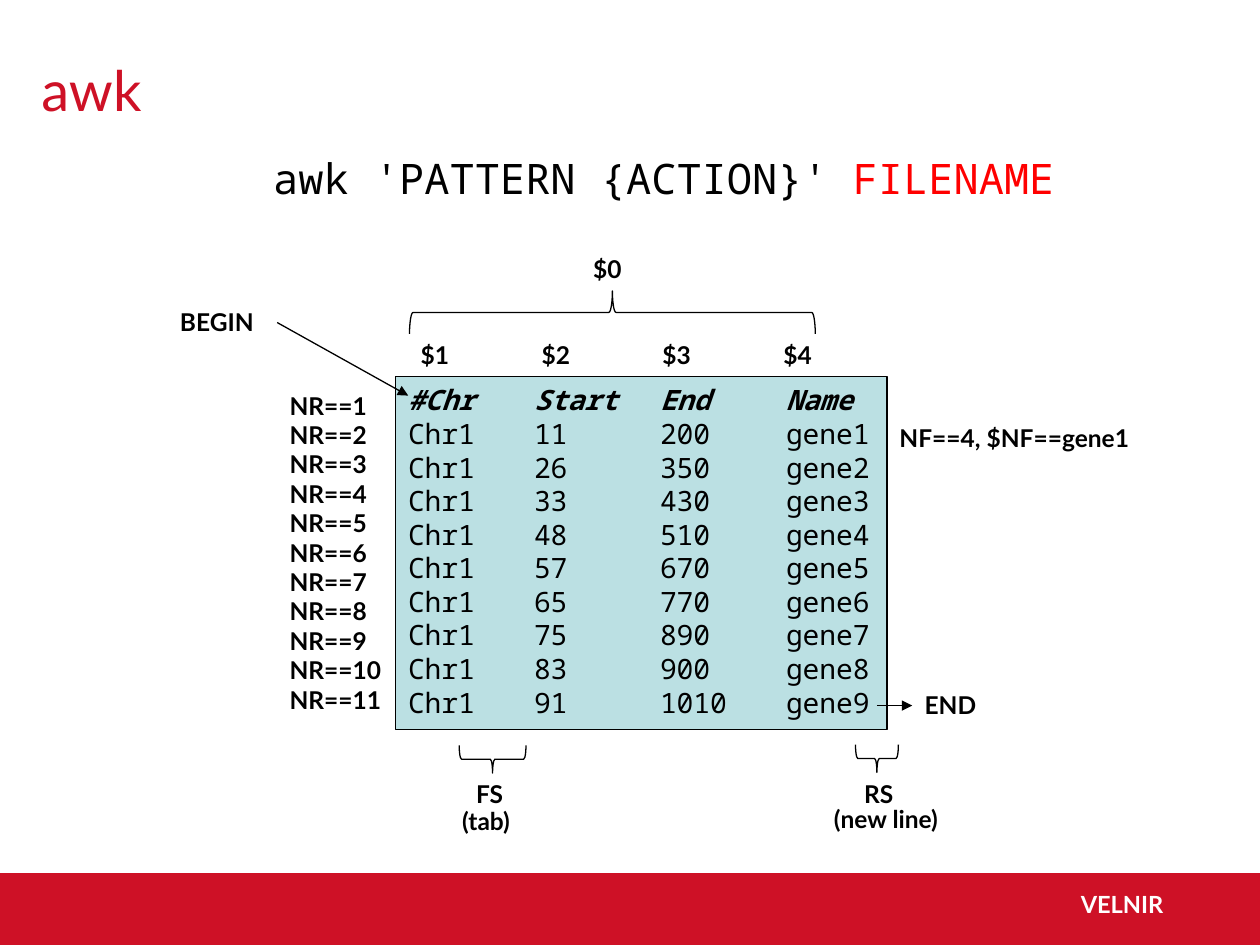
"""Build the awk slide: fields, records and separators of a tab-delimited file."""
from pptx import Presentation
from pptx.dml.color import RGBColor
from pptx.enum.shapes import MSO_CONNECTOR, MSO_SHAPE
from pptx.enum.text import MSO_ANCHOR, PP_ALIGN
from pptx.oxml.ns import qn
from pptx.util import Inches, Pt
from lxml import etree

THEME = {
    "red": RGBColor(0xCE, 0x11, 0x26), "bright": RGBColor(0xFF, 0, 0),
    "teal": RGBColor(0xBB, 0xE0, 0xE3), "black": RGBColor(0, 0, 0),
    "white": RGBColor(0xFF, 0xFF, 0xFF),
    "sans": "Lato", "mono": "Noto Sans Mono",
    "title": Pt(32), "command": Pt(24), "data": Pt(16), "label": Pt(14),
    "footer": Pt(13.5), "line": Pt(0.75), "data_pitch": Pt(19.2),
}

prs = Presentation()
prs.slide_width, prs.slide_height = Inches(10), Inches(7.5)
slide = prs.slides.add_slide(prs.slide_layouts[6])
shapes = slide.shapes


def add_run(paragraph, text, size="label", color="black", font="sans", bold=True, italic=False):
    run = paragraph.add_run()
    run.text = text
    run.font.name, run.font.size = THEME[font], THEME[size]
    run.font.color.rgb = THEME[color]
    run.font.bold, run.font.italic = bold, italic


def add_text(box, lines, **style):
    frame = shapes.add_textbox(*map(Inches, box)).text_frame
    frame.word_wrap = True
    for i, line in enumerate(lines):
        paragraph = frame.add_paragraph() if i else frame.paragraphs[0]
        add_run(paragraph, line, **style)
    return frame


footer = shapes.add_shape(MSO_SHAPE.RECTANGLE, Inches(0), Inches(6.93), Inches(10), Inches(0.57))
footer.shadow.inherit = False
footer.fill.solid()
footer.fill.fore_color.rgb = THEME["red"]
footer.line.fill.background()
add_text((8.48, 7.01, 1.08, 0.33), ["VELNIR"], size="footer", color="white")

title = add_text((0.23, 0.08, 8.5, 1.25), ["awk"], size="title", color="red", bold=False)
title.vertical_anchor = MSO_ANCHOR.MIDDLE

command = add_text((2.07, 1.16, 6.66, 0.91), ["awk 'PATTERN {ACTION}' "],
                   size="command", font="mono", bold=False)
add_run(command.paragraphs[0], "FILENAME", "command", "bright", "mono", False)

records = [
    ("#Chr", "Start", "End", "Name"),
    ("Chr1", 11, 200, "gene1"), ("Chr1", 26, 350, "gene2"), ("Chr1", 33, 430, "gene3"),
    ("Chr1", 48, 510, "gene4"), ("Chr1", 57, 670, "gene5"), ("Chr1", 65, 770, "gene6"),
    ("Chr1", 75, 890, "gene7"), ("Chr1", 83, 900, "gene8"), ("Chr1", 91, 1010, "gene9"),
]
data_box = shapes.add_shape(MSO_SHAPE.RECTANGLE, Inches(3.14), Inches(2.99), Inches(3.9), Inches(2.8))
data_box.shadow.inherit = False
data_box.fill.solid()
data_box.fill.fore_color.rgb = THEME["teal"]
data_box.line.color.rgb = THEME["black"]
data_box.line.width = THEME["line"]
data_frame = data_box.text_frame
data_frame.vertical_anchor = MSO_ANCHOR.TOP
for i, record in enumerate(records):
    row = data_frame.add_paragraph() if i else data_frame.paragraphs[0]
    row.alignment = PP_ALIGN.LEFT
    row.line_spacing = THEME["data_pitch"]
    tab_stops = etree.SubElement(row._p.get_or_add_pPr(), qn("a:tabLst"))
    for stop in range(1, len(record)):
        etree.SubElement(tab_stops, qn("a:tab"), pos=str(Inches(stop)), algn="l")
    add_run(row, "\t".join(map(str, record)), "data", "black", "mono", i == 0, i == 0)

for field in range(4):
    add_text((3.24 + 0.96 * field, 2.65, 0.67, 0.34), [f"${field + 1}"])
add_text((2.2, 3.05, 1.04, 2.69), [f"NR=={n}" for n in range(1, 12)])

for text, left, top, width in [
    ("$0", 4.61, 1.97, 0.67), ("FS", 3.68, 6.13, 0.67), ("RS", 6.76, 6.13, 0.67),
    ("(tab)", 3.57, 6.35, 0.67), ("(new line)", 6.52, 6.33, 1.15),
    ("NF==4, $NF==gene1", 7.04, 3.31, 2.35),
    ("BEGIN", 1.33, 2.39, 0.87), ("END", 7.24, 5.43, 0.87),
]:
    add_text((left, top, width, 0.34), [text])

for box, rotation in [((4.69, 0.87, 0.34, 3.22), 90), ((3.8, 5.76, 0.22, 0.53), 270),
                      ((6.85, 5.85, 0.22, 0.34), 270)]:
    brace = shapes.add_shape(MSO_SHAPE.LEFT_BRACE, *map(Inches, box))
    brace.rotation = rotation
    brace.shadow.inherit = False
    brace.fill.background()
    brace.line.color.rgb = THEME["black"]
    brace.line.width = THEME["line"]

for ends in [(2.2, 2.56, 3.24, 3.14), (6.96, 5.6, 7.24, 5.6)]:
    arrow = shapes.add_connector(MSO_CONNECTOR.STRAIGHT, *map(Inches, ends))
    arrow.line.color.rgb = THEME["black"]
    arrow.line.width = THEME["line"]
    etree.SubElement(arrow.line._get_or_add_ln(), qn("a:tailEnd"), type="triangle")
    etree.SubElement(arrow._element.spPr, qn("a:effectLst"))

prs.save("out.pptx")
